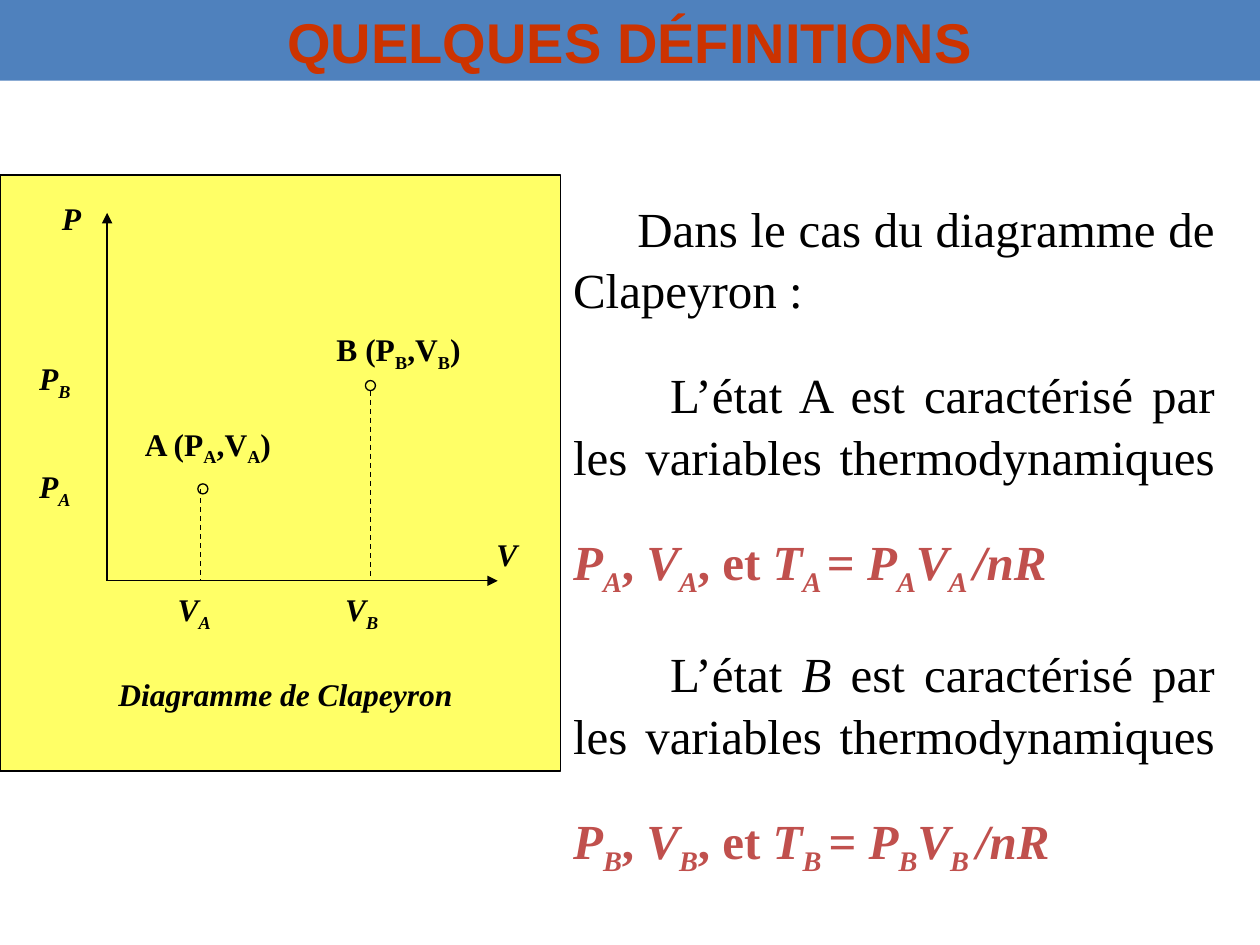
from dataclasses import dataclass

from lxml import etree
from pptx import Presentation
from pptx.dml.color import RGBColor
from pptx.enum.dml import MSO_LINE
from pptx.enum.shapes import MSO_CONNECTOR, MSO_SHAPE
from pptx.enum.text import MSO_ANCHOR, PP_ALIGN
from pptx.oxml.ns import qn
from pptx.util import Inches, Pt


@dataclass(frozen=True)
class Theme:
    banner: RGBColor = RGBColor(0x4F, 0x81, 0xBD)
    title: RGBColor = RGBColor(0xCC, 0x33, 0x00)
    panel: RGBColor = RGBColor(0xFF, 0xFF, 0x66)
    ink: RGBColor = RGBColor(0, 0, 0)
    accent: RGBColor = RGBColor(0xC0, 0x50, 0x4D)
    title_font: str = "Arial"
    body_font: str = "Times New Roman"
    title_size: Pt = Pt(32)
    body_size: Pt = Pt(28)
    label_size: Pt = Pt(18)
    line_width: Pt = Pt(0.75)


THEME = Theme()


def set_attributes(target, values):
    for name, value in values.items():
        setattr(target, name, value)


def set_margins(frame, horizontal, vertical):
    set_attributes(frame, {
        "margin_left": Inches(horizontal), "margin_right": Inches(horizontal),
        "margin_top": Inches(vertical), "margin_bottom": Inches(vertical),
    })


def add_runs(paragraph, markup, size, color, bold=False, italic=False):
    """Add runs parted by "|"; "_" marks a subscript, "~" the other slant."""
    for part in markup.split("|"):
        run = paragraph.add_run()
        run.text = part.lstrip("_~")
        set_attributes(run.font, {
            "name": THEME.body_font, "size": size, "bold": bold,
            "italic": italic != part.startswith("~"),
        })
        run.font.color.rgb = color
        if part.startswith("_"):
            run._r.get_or_add_rPr().set("baseline", "-25000")


def add_banner(slide, left, top, width, height):
    title = slide.shapes.title
    set_attributes(title, {
        "left": Inches(left), "top": Inches(top),
        "width": Inches(width), "height": Inches(height),
    })
    title.fill.solid()
    title.fill.fore_color.rgb = THEME.banner
    frame = title.text_frame
    frame.text = "QUELQUES DÉFINITIONS"
    frame.vertical_anchor = MSO_ANCHOR.BOTTOM
    set_margins(frame, 0.1, 0.05)
    paragraph = frame.paragraphs[0]
    paragraph.alignment = PP_ALIGN.CENTER
    set_attributes(paragraph.font, {
        "name": THEME.title_font, "size": THEME.title_size, "bold": True,
    })
    paragraph.font.color.rgb = THEME.title


def add_outlined(shapes, kind, left, top, width, height, fill=None):
    shape = shapes.add_shape(
        kind, Inches(left), Inches(top), Inches(width), Inches(height))
    shape.shadow.inherit = False
    if fill is None:
        shape.fill.background()
    else:
        shape.fill.solid()
        shape.fill.fore_color.rgb = fill
    shape.line.color.rgb = THEME.ink
    shape.line.width = THEME.line_width


def add_line(shapes, x1, y1, x2, y2, arrow=False):
    """Draw an axis with an arrowhead, or else a dashed guide."""
    line = shapes.add_connector(
        MSO_CONNECTOR.STRAIGHT, Inches(x1), Inches(y1), Inches(x2), Inches(y2))
    line.line.color.rgb = THEME.ink
    line.line.width = THEME.line_width
    if arrow:
        etree.SubElement(line.line._get_or_add_ln(), qn("a:tailEnd"), type="triangle")
    else:
        line.line.dash_style = MSO_LINE.DASH
    etree.SubElement(line._element.spPr, qn("a:effectLst"))


def add_label(shapes, markup, left, top, width, height, italic):
    label = shapes.add_textbox(
        Inches(left), Inches(top), Inches(width), Inches(height))
    frame = label.text_frame
    frame.word_wrap = True
    set_margins(frame, 0.07, 0.03)
    add_runs(frame.paragraphs[0], markup, THEME.label_size, THEME.ink,
             bold=True, italic=italic)


def add_clapeyron_diagram(slide, left, top, width, height):
    shapes = slide.shapes.add_group_shape().shapes
    add_outlined(shapes, MSO_SHAPE.RECTANGLE, left, top, width, height, THEME.panel)

    origin_x, origin_y = left + 0.85, top + 3.22
    add_line(shapes, origin_x, origin_y, origin_x, top + 0.3, arrow=True)
    add_line(shapes, origin_x, origin_y, left + 3.95, origin_y, arrow=True)

    diameter = 0.08
    for x, y, guide_x, guide_top in ((1.61, 2.49, 1.59, 2.49),
                                     (2.94, 1.67, 2.94, 1.71)):
        add_outlined(shapes, MSO_SHAPE.OVAL, left + x - diameter / 2,
                     top + y - diameter / 2, diameter, diameter)
        add_line(shapes, left + guide_x, top + guide_top, left + guide_x, origin_y)

    labels = (
        ("B (P|_B|,V|_B|)", 2.6, 1.2, 1.58, 0.43, False),
        ("A (P|_A|,V|_A|)", 1.08, 1.95, 1.63, 0.43, False),
        ("P", 0.42, 0.16, 0.39, 0.53, True),
        ("V", 3.87, 2.83, 0.39, 0.37, True),
        ("P|_A", 0.24, 2.29, 0.56, 0.56, True),
        ("P|_B", 0.24, 1.43, 0.56, 0.56, True),
        ("V|_A", 1.34, 3.26, 0.66, 0.48, True),
        ("V|_B", 2.67, 3.26, 0.66, 0.48, True),
        ("Diagramme de Clapeyron", 0.87, 3.94, 3.43, 0.46, True),
    )
    for markup, x, y, label_width, label_height, italic in labels:
        add_label(shapes, markup, left + x, top + y, label_width, label_height, italic)


def add_explanation(slide, left, top, width, height):
    box = slide.shapes.add_textbox(
        Inches(left), Inches(top), Inches(width), Inches(height))
    frame = box.text_frame
    frame.word_wrap = True
    set_margins(frame, 0.1, 0.05)

    equation = "P|_X|~, |V|_X|~, et |T|_X |~= |P|_X|V|_X |/nR"
    state = "L’état {} est caractérisé par les variables thermodynamiques "
    statements = [("Dans le cas du diagramme de Clapeyron :", 0.51, False)]
    for letter, shown in (("A", "A"), ("B", "|~B|")):
        statements.append((state.format(shown), 0.77, False))
        statements.append((equation.replace("X", letter), 0, True))

    for index, (markup, indent, is_equation) in enumerate(statements):
        paragraph = frame.add_paragraph() if index else frame.paragraphs[0]
        set_attributes(paragraph, {
            "alignment": PP_ALIGN.LEFT if is_equation else PP_ALIGN.JUSTIFY,
            "space_before": Pt(17.5 if index else 0),
            "space_after": Pt(7),
            "line_spacing": 1.05,
        })
        paragraph._p.get_or_add_pPr().set("indent", str(Inches(indent)))
        add_runs(paragraph, markup, THEME.body_size,
                 THEME.accent if is_equation else THEME.ink,
                 bold=is_equation, italic=is_equation)


def main():
    presentation = Presentation()
    presentation.slide_width = Inches(10)
    presentation.slide_height = Inches(7.5)
    slide = presentation.slides.add_slide(presentation.slide_layouts[5])
    add_explanation(slide, 4.45, 1.5, 5.29, 5.3)
    add_clapeyron_diagram(slide, 0, 1.39, 4.45, 4.73)
    add_banner(slide, 0, -0.03, 10, 0.67)
    presentation.save("out.pptx")


if __name__ == "__main__":
    main()
